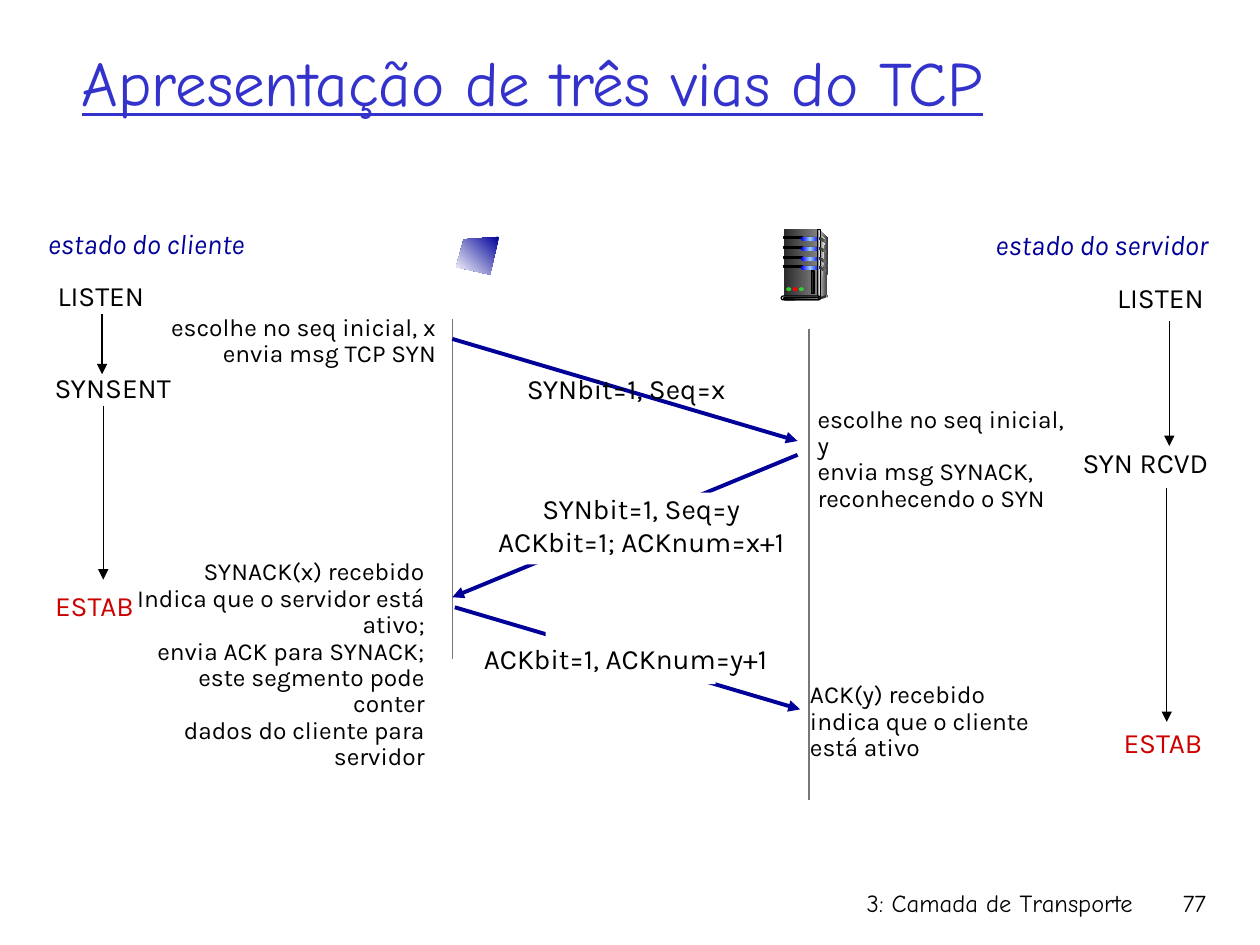
import copy

import pptx
import pptx.dml.color
import pptx.enum.shapes
import pptx.enum.text
import pptx.oxml.ns
import pptx.oxml.xmlchemy
import pptx.util

EMU_PER_PX = 9144  # 100 px to the inch
ALIGN = pptx.enum.text.PP_ALIGN
SHAPE = pptx.enum.shapes.MSO_SHAPE
BLACK, NAVY, RED, GRAY = "000000", "000099", "CC0000", "777777"
DARK, METAL, STEEL, LIGHT = "292929", "808080", "333333", "DDDDDD"


def px(length):
    return pptx.util.Emu(length * EMU_PER_PX)


def color(value):
    return pptx.dml.color.RGBColor.from_string(value)


class Deck:
    body_font = "Karla"
    title_font = "Comic Neue"

    def __init__(self, width, height):
        self.presentation = pptx.Presentation()
        self.presentation.slide_width = px(width)
        self.presentation.slide_height = px(height)
        self.slide = self.presentation.slides.add_slide(self.presentation.slide_layouts[6])

    def text(self, box, words, size=16, hue=BLACK, align=ALIGN.CENTER, font=body_font,
             wrap=False, spacing=None, italic=False, underline=False, middle=False):
        shape = self.slide.shapes.add_textbox(*map(px, box))
        frame = shape.text_frame
        frame.word_wrap = wrap
        if middle:
            frame.vertical_anchor = pptx.enum.text.MSO_ANCHOR.MIDDLE
        frame.text = words
        for paragraph in frame.paragraphs:
            paragraph.alignment = align
            if spacing:
                paragraph.line_spacing = spacing
            for run in paragraph.runs:
                run.font.name = font
                run.font.size = pptx.util.Pt(size)
                run.font.color.rgb = color(hue)
                run.font.italic = italic
                run.font.underline = underline
        return shape

    def note(self, box, words, align=ALIGN.LEFT, wrap=True):
        return self.text(box, words, size=14, align=align, wrap=wrap, spacing=0.9)

    def line(self, start, end, hue=BLACK, width=0.75, arrow=True):
        connector = self.slide.shapes.add_connector(
            pptx.enum.shapes.MSO_CONNECTOR.STRAIGHT, *map(px, start + end))
        connector.line.color.rgb = color(hue)
        connector.line.width = pptx.util.Pt(width)
        if arrow:
            tail = pptx.oxml.xmlchemy.OxmlElement("a:tailEnd")
            tail.set("type", "triangle")
            connector.line._get_or_add_ln().append(tail)
        connector._element.spPr.append(pptx.oxml.xmlchemy.OxmlElement("a:effectLst"))

    def paint(self, shape, hues, angle=0, outline=False):
        """Fill with one colour, or with evenly spaced gradient colours."""
        shape.shadow.inherit = False
        if len(hues) == 1:
            shape.fill.solid()
            shape.fill.fore_color.rgb = color(hues[0])
        else:
            shape.fill.gradient()
            shape.fill.gradient_angle = angle
            stop_list = shape._element.find(".//" + pptx.oxml.ns.qn("a:gsLst"))
            for _ in hues[2:]:
                stop_list.append(copy.deepcopy(stop_list[0]))
            for index, (stop, hue) in enumerate(zip(shape.fill.gradient_stops, hues)):
                stop.color.rgb = color(hue)
                stop.position = index / (len(hues) - 1)
        if outline:
            shape.line.color.rgb = color(BLACK)
            shape.line.width = pptx.util.Pt(0.75)
        else:
            shape.line.fill.background()

    def shape(self, box, *hues, kind=SHAPE.RECTANGLE, outline=False):
        shape = self.slide.shapes.add_shape(kind, *map(px, box))
        if kind == SHAPE.ROUNDED_RECTANGLE:
            shape.adjustments[0] = 0.5
        self.paint(shape, hues, outline=outline)

    def polygon(self, points, *hues, angle=0):
        builder = self.slide.shapes.build_freeform(*points[0], scale=EMU_PER_PX)
        builder.add_line_segments(points[1:], close=True)
        self.paint(builder.convert_to_shape(), hues, angle)

    def server(self):
        pill = SHAPE.ROUNDED_RECTANGLE
        # Case: side, front and bevel
        self.polygon([(651, 183), (657, 189), (656, 234), (649, 236)], LIGHT, STEEL)
        self.shape((622, 182, 27, 53), DARK, METAL)
        self.polygon([(651, 186), (655, 190), (651, 235)], METAL, "F8F8F8")
        # Drive slots
        slots = (188, 196, 204, 211)
        for top in slots:
            self.shape((622, top, 15, 1), BLACK, outline=True)
            self.shape((636, top, 15, 3), BLACK, kind=pill)
            self.shape((636, top, 14, 3), "0000FF", "99CCFF", "0000FF", kind=pill)
        self.shape((649, 182, 2, 54), STEEL, LIGHT, STEEL, outline=True)
        for top in slots:
            self.polygon([(650, top), (656, top + 3), (656, top + 5), (650, top + 2)],
                         DARK, METAL)
        # Base
        self.shape((656, 234, 1, 2), STEEL, kind=SHAPE.OVAL)
        self.polygon([(650, 236), (650, 238), (656, 236), (656, 234)], STEEL)
        self.shape((620, 235, 31, 3), LIGHT, kind=pill, outline=True)
        self.shape((622, 236, 28, 2), BLACK, METAL, kind=pill, outline=True)
        # Lights and handle
        for left, hue in ((624, "33CC33"), (629, "FF0000"), (634, "33CC33")):
            self.shape((left, 228, 4, 3), hue, kind=SHAPE.OVAL)
        self.shape((644, 215, 2, 18), DARK, outline=True)


def main():
    deck = Deck(1000, 750)

    # Title
    deck.text((55, 18, 827, 93), "Apresentação de três vias do TCP", size=36, hue="3333CC",
              align=ALIGN.LEFT, font=deck.title_font, wrap=True, underline=True, middle=True)

    # Time lines
    deck.line((359, 253), (359, 523), GRAY, arrow=False)
    deck.line((642, 261), (642, 635), GRAY, arrow=False)

    # Messages: arrow, white gap in the arrow, label
    messages = [
        ((359, 269), (633, 350), None, (402, 290, 190, 37), "SYNbit=1, Seq=x"),
        ((633, 361), (359, 474), (415, 391, 156, 57), (376, 385, 266, 64),
         "SYNbit=1, Seq=y\nACKbit=1; ACKnum=x+1"),
        ((361, 482), (635, 563), (433, 496, 135, 47), (364, 504, 265, 37),
         "ACKbit=1, ACKnum=y+1"),
    ]
    for start, end, gap, label_box, label in messages:
        deck.line(start, end, NAVY, 2.25)
        if gap:
            deck.shape(gap, "FFFFFF")
        deck.text(label_box, label)

    # Notes beside the time lines
    deck.note((124, 245, 232, 52), "escolhe no seq inicial, x\nenvia msg TCP SYN",
              ALIGN.RIGHT, wrap=False)
    deck.note((639, 318, 225, 74),
              "escolhe no seq inicial, y\nenvia msg SYNACK,\nreconhecendo o SYN")
    received = deck.note((99, 439, 257, 159),
                         "SYNACK(x) recebido\nIndica que o servidor está ativo;\n"
                         "envia ACK para SYNACK;\neste segmento pode conter\n"
                         "dados do cliente para servidor", ALIGN.RIGHT)
    first = received.text_frame.paragraphs[0]
    first._p.get_or_add_pPr().set("marR", str(px(9)))
    deck.note((633, 537, 232, 74), "ACK(y) recebido\nindica que o cliente está ativo")

    # States of client and server
    states = [
        ((34, 216, 92, 37), "LISTEN", BLACK),
        ((33, 289, 113, 37), "SYNSENT", BLACK),
        ((33, 462, 84, 37), "ESTAB", RED),
        ((875, 218, 92, 37), "LISTEN", BLACK),
        ((848, 349, 122, 37), "SYN RCVD", BLACK),
        ((881, 571, 84, 37), "ESTAB", RED),
    ]
    for box, state, hue in states:
        deck.text(box, state, hue=hue)
    for x, top, bottom in ((81, 249, 297), (82, 322, 460), (928, 255, 354), (926, 387, 573)):
        deck.line((x, top), (x, bottom))
    for box, heading in (((15, 175, 189, 64), "estado do cliente"),
                         ((765, 176, 204, 64), "estado do servidor")):
        deck.text(box, heading, hue=NAVY, align=ALIGN.RIGHT, italic=True)

    # Client screen and server
    deck.polygon([(396, 188), (368, 190), (362, 212), (389, 218)], NAVY, "FFFFFF", angle=225)
    deck.server()

    # Footer
    for box, words in (((592, 700, 317, 50), "3: Camada de Transporte"),
                       ((893, 700, 74, 50), "77")):
        deck.text(box, words, size=14, align=ALIGN.RIGHT, font=deck.title_font, wrap=True)

    deck.presentation.save("out.pptx")


if __name__ == "__main__":
    main()
